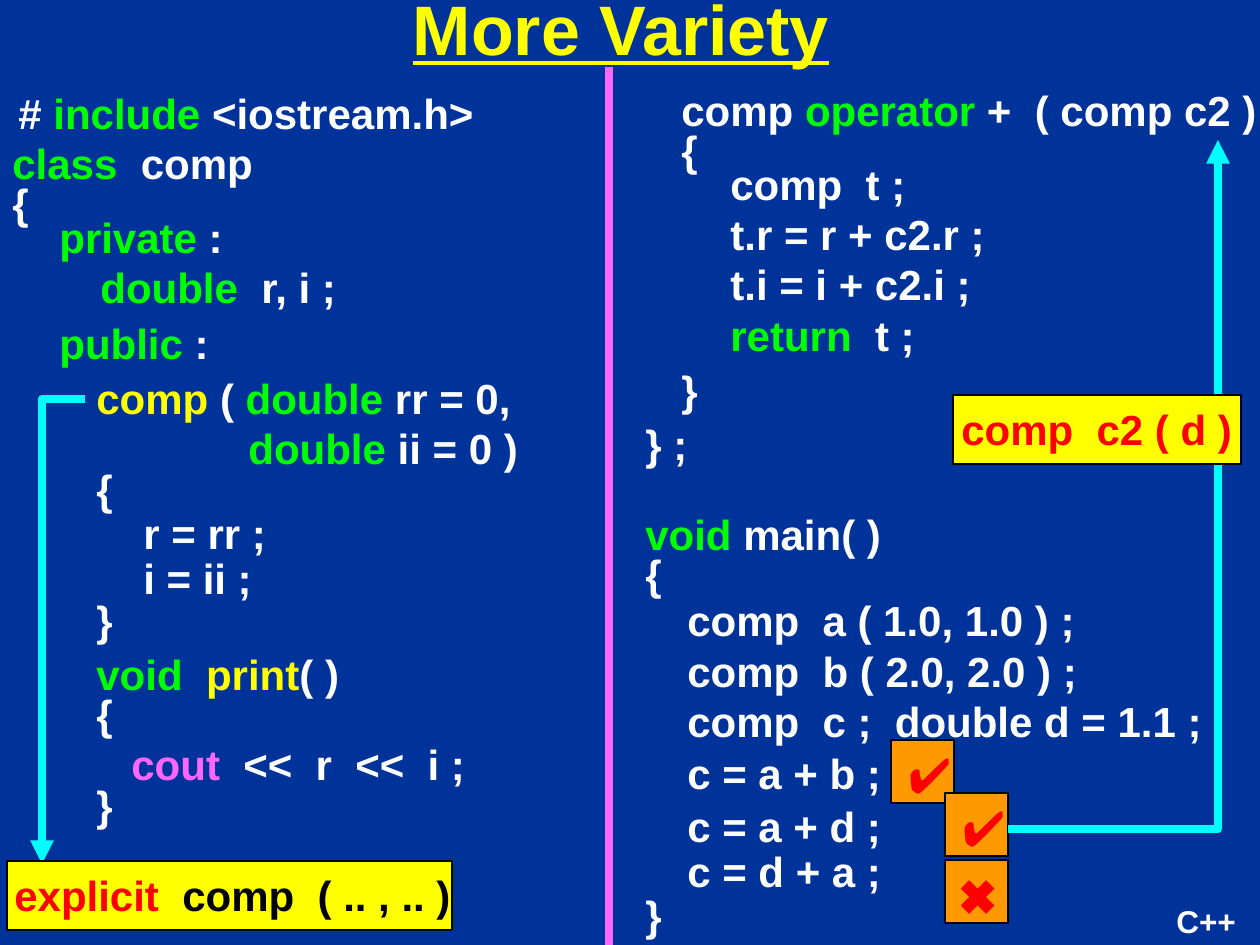
from dataclasses import dataclass

from lxml import etree
from pptx import Presentation
from pptx.dml.color import RGBColor
from pptx.enum.shapes import MSO_CONNECTOR, MSO_SHAPE
from pptx.enum.text import MSO_AUTO_SIZE, PP_ALIGN
from pptx.oxml.ns import qn
from pptx.util import Pt

PX = 914400 / 126
SLACK = 6  # px of spare width that keeps each code line whole
RECT = MSO_SHAPE.RECTANGLE
STRAIGHT = MSO_CONNECTOR.STRAIGHT
FIT = MSO_AUTO_SIZE.SHAPE_TO_FIT_TEXT
LEFT, CENTER = PP_ALIGN.LEFT, PP_ALIGN.CENTER
COLORS = {
    "navy": "003399", "white": "FFFFFF", "green": "00FF00", "yellow": "FFFF00",
    "pink": "FF66FF", "cyan": "00FFFF", "orange": "FF9900", "red": "FF0000",
    "black": "000000",
}


@dataclass(frozen=True)
class Line:
    """A line of code: white strings and (text, color) pairs."""
    runs: tuple
    spacing: float | None = None
    indent: int = 0


@dataclass(frozen=True)
class Block:
    x: int
    y: int
    w: int
    h: int
    lines: tuple[Line, ...]


@dataclass(frozen=True)
class Mark:
    x: int
    y: int
    symbol: str
    dx: int
    dy: int
    w: int


@dataclass(frozen=True)
class Callout:
    """An elbow arrow, a yellow panel and the text on it."""
    route: tuple[tuple[int, int], ...]
    panel: tuple[int, int, int, int]
    label: Block


def line(*runs, spacing: float | None = None, indent: int = 0) -> Line:
    return Line(runs, spacing, indent)


def green(text: str) -> tuple[str, str]:
    return text, "green"


OPEN = line("{", spacing=0.8)
CLOSE = line("}", spacing=0.8)

LEFT_CODE = [
    Block(6, 81, 480, 63, (line("# ", green("include"), " <iostream.h>"),)),
    Block(0, 131, 266, 103, (line(green("class  "), "comp"), OPEN)),
    Block(47, 205, 304, 113, (
        line(green("private"), " :"),
        line(green("double "), " r, i ;", indent=41))),
    Block(47, 311, 174, 63, (line(green("public"), " :"),)),
    Block(84, 366, 451, 285, (
        line(("comp ", "yellow"), "( ", green("double"), " rr = 0,"),
        line(green("double"), " ii = 0 )", indent=152),
        OPEN,
        line("r = rr ;", spacing=0.9, indent=47),
        line("i = ii ;", spacing=0.9, indent=47),
        CLOSE)),
    Block(84, 642, 393, 194, (
        line(green("void  "), ("print", "yellow"), "( )"),
        OPEN,
        line(("cout", "pink"), "  <<  r  <<  i ;", indent=35),
        CLOSE)),
]
OPERATOR = Block(669, 78, 615, 103, (
    line("comp ", green("operator"), " +  ( comp c2 )"), OPEN))
RIGHT_CODE = [
    Block(718, 152, 280, 214, (
        line("comp  t ;"),
        line("t.r = r + c2.r ;"),
        line("t.i = i + c2.i ;"),
        line(green("return"), "  t ;"))),
    Block(669, 358, 42, 63, (line("}"),)),
    Block(633, 412, 67, 63, (line("} ;"),)),
    Block(633, 512, 261, 93, (
        line(green("void"), " main( )", spacing=0.8), OPEN)),
    Block(675, 588, 412, 63, (line("comp  a ( 1.0, 1.0 ) ;"),)),
    Block(675, 639, 539, 113, (
        line("comp  b ( 2.0, 2.0 ) ;"),
        line("comp  c ;  double d = 1.1 ;"))),
    Block(675, 747, 231, 58, (line("c = a + b ;", spacing=0.9),)),
    Block(675, 800, 219, 103, (
        line("c = a + d ;", spacing=0.9),
        line("c = d + a ;", spacing=0.9))),
    Block(633, 883, 42, 63, (line("}"),)),
]
TITLE = Block(-4, -21, 1250, 97, (line(("More Variety", "yellow")),))
FOOTER = Block(1164, 896, 84, 50, (line("C++"),))
MARKS = [
    Mark(891, 740, "✔", 5, -2, 57),
    Mark(945, 793, "✔", 5, -2, 57),
    Mark(945, 860, "✖", 1, -1, 66),
]
CALLOUTS = [
    Callout(((1008, 829), (1218, 829), (1218, 140)), (953, 395, 288, 69),
            Block(949, 397, 296, 63, (line(("comp  c2 ( d )", "red")),))),
    Callout(((85, 399), (42, 399), (42, 864)), (7, 861, 445, 69),
            Block(2, 863, 461, 63, (
                line(("explicit  ", "red"), ("comp  ( .. , .. )", "black")),))),
]


def px(value: int) -> int:
    return round(value * PX)


def rgb(name: str) -> RGBColor:
    return RGBColor.from_string(COLORS[name])


def add_text(slide, block: Block, *, size: int = 24, wrap: bool = False,
             align=LEFT, underline: bool = False) -> None:
    width = block.w if wrap else block.w + SLACK
    sp = slide.shapes.add_textbox(px(block.x), px(block.y), px(width), px(block.h))
    tf = sp.text_frame
    tf.word_wrap = wrap
    tf.auto_size = FIT
    for i, item in enumerate(block.lines):
        p = tf.add_paragraph() if i else tf.paragraphs[0]
        p.alignment = align
        if item.spacing:
            p.line_spacing = item.spacing
        if item.indent:
            p_pr = p._p.get_or_add_pPr()
            p_pr.set("marL", str(px(item.indent)))
            p_pr.set("indent", "0")
        for run in item.runs:
            text, color = (run, "white") if isinstance(run, str) else run
            r = p.add_run()
            r.text = text
            r.font.name = "Arial"
            r.font.size = Pt(size)
            r.font.bold = True
            r.font.underline = underline
            r.font.color.rgb = rgb(color)


def style_line(sp, color: str, width: float) -> None:
    sp.line.color.rgb = rgb(color)
    sp.line.width = Pt(width)


def add_rect(slide, x: int, y: int, w: int, h: int, fill: str) -> None:
    sp = slide.shapes.add_shape(RECT, px(x), px(y), px(w), px(h))
    sp.shadow.inherit = False
    sp.fill.solid()
    sp.fill.fore_color.rgb = rgb(fill)
    style_line(sp, "black", 1)


def add_divider(slide, x: int, top: int, bottom: int) -> None:
    sp = slide.shapes.add_connector(STRAIGHT, px(x), px(top), px(x), px(bottom))
    style_line(sp, "pink", 4.5)
    etree.SubElement(sp._element.spPr, qn("a:effectLst"))


def add_elbow_arrow(slide, route: tuple[tuple[int, int], ...]) -> None:
    builder = slide.shapes.build_freeform(*route[0], scale=PX)
    builder.add_line_segments(route[1:], close=False)
    sp = builder.convert_to_shape()
    sp.shadow.inherit = False
    sp.fill.background()
    style_line(sp, "cyan", 4.5)
    etree.SubElement(sp.line._get_or_add_ln(), qn("a:tailEnd"), type="triangle")


def main() -> None:
    prs = Presentation()
    prs.slide_width, prs.slide_height = px(1260), px(945)
    slide = prs.slides.add_slide(prs.slide_layouts[6])
    slide.background.fill.solid()
    slide.background.fill.fore_color.rgb = rgb("navy")

    add_divider(slide, 609, 67, 945)
    for block in LEFT_CODE + RIGHT_CODE:
        add_text(slide, block)
    add_text(slide, OPERATOR, wrap=True)
    add_text(slide, TITLE, size=40, wrap=True, align=CENTER, underline=True)
    for m in MARKS:
        add_rect(slide, m.x, m.y, 63, 63, "orange")
        symbol = line((m.symbol, "red"))
        add_text(slide, Block(m.x + m.dx, m.y + m.dy, m.w, 72, (symbol,)), size=28)
    for c in CALLOUTS:
        add_elbow_arrow(slide, c.route)
        add_rect(slide, *c.panel, "yellow")
        add_text(slide, c.label)
    add_text(slide, FOOTER, size=18)
    prs.save("out.pptx")


if __name__ == "__main__":
    main()
